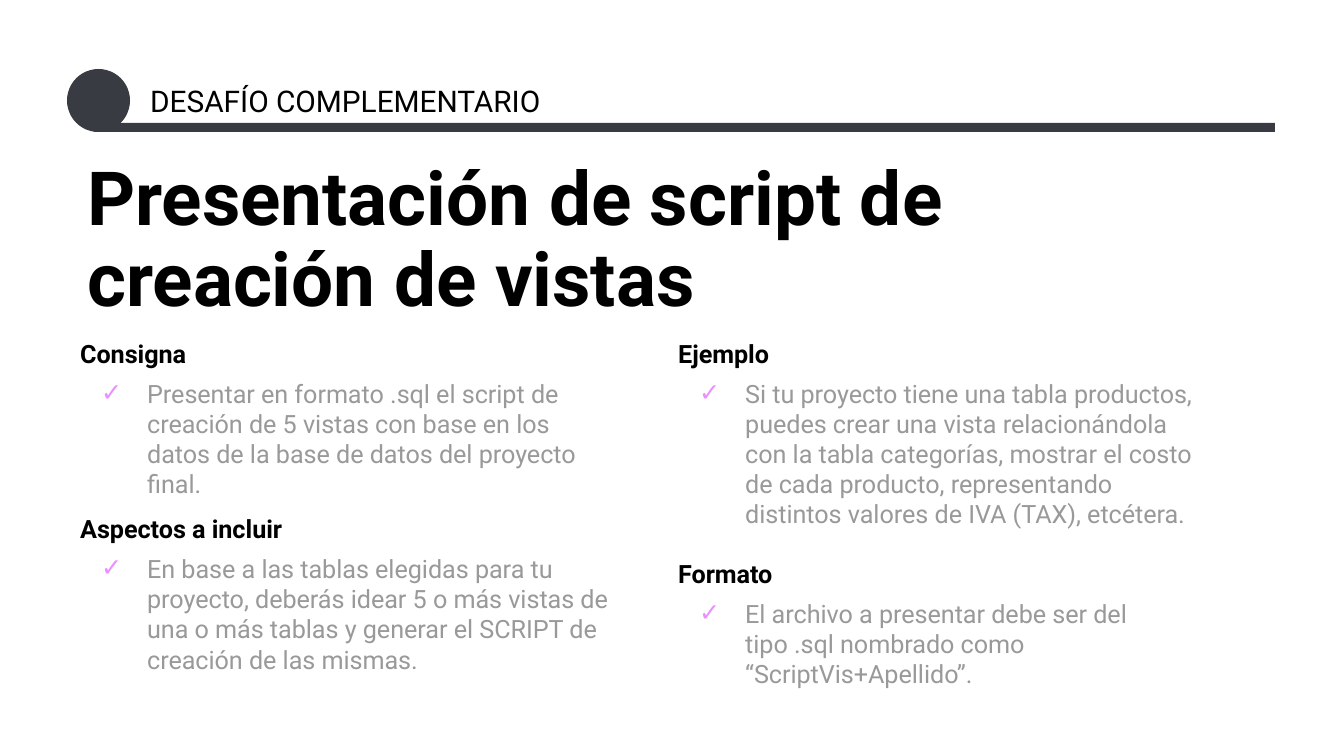
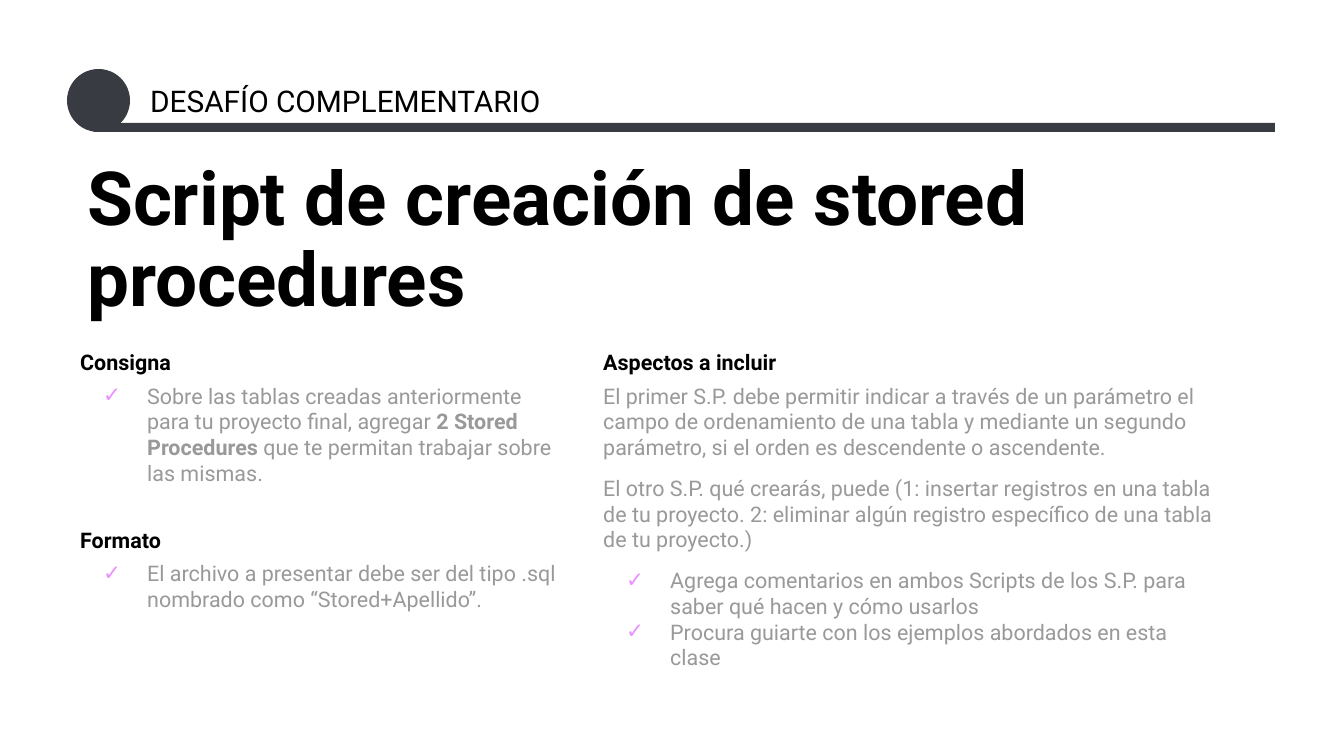
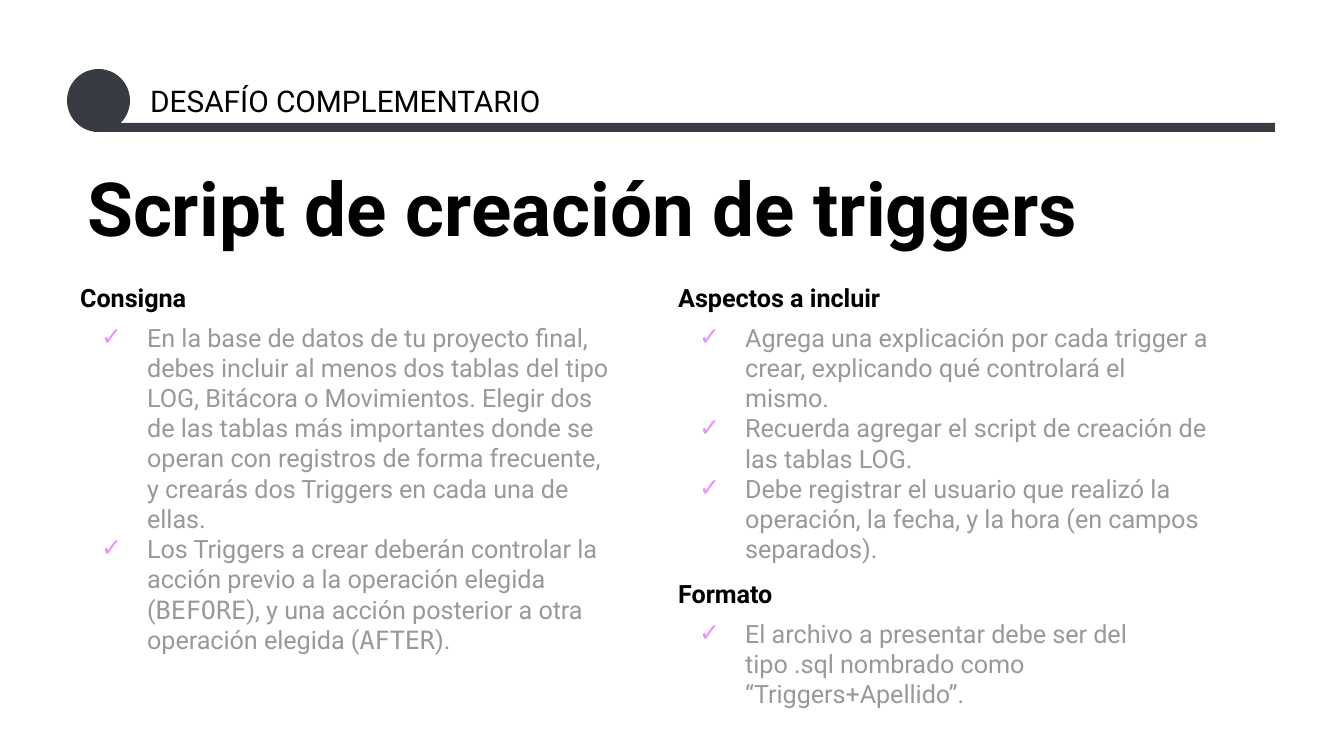
"""Build three slides that each describe a complementary SQL challenge."""
from lxml import etree
from pptx import Presentation
from pptx import util as u
from pptx.dml.color import RGBColor
from pptx.enum import shapes, text
from pptx.oxml.ns import qn

PX = 914400 / 134.4
FONT, MONO = "Roboto", "DejaVu Sans Mono"
DARK, BLACK, GRAY, PINK, WHITE = "393B43", "000000", "999999", "EA90FF", "FFFFFF"
LABEL = "DESAFÍO COMPLEMENTARIO"
BOLD, CODE = {"bold": True}, {"name": MONO}
STYLES = {
    "head": {"color": BLACK, "bold": True},
    "text": {"color": GRAY, "bold": False},
    "check": {"color": GRAY, "bold": False},
}

SLIDES = [
    {"title": "Presentación de script de creación de vistas",
     "title_box": (74, 148, 1181, 190), "size": 13.5, "hang": 46,
     "columns": [
         ((665, 325, 563, 412), [
             ("head", 0, ["Ejemplo"]),
             ("check", 5, ["Si tu proyecto tiene una tabla productos, puedes crear una vista "
                           "relacionándola con la tabla categorías, mostrar el costo de cada "
                           "producto, representando distintos valores de IVA (TAX), etcétera."]),
             ("head", 16, ["Formato"]),
             ("check", 5, ["El archivo a presentar debe ser del tipo .sql nombrado como "
                           "“ScriptVis+Apellido”."]),
         ]),
         ((67, 325, 563, 366), [
             ("head", 0, ["Consigna"]),
             ("check", 5, ["Presentar en formato .sql el script de creación de 5 vistas con base "
                           "en los datos de la base de datos del proyecto final."]),
             ("head", 8, ["Aspectos a incluir"]),
             ("check", 5, ["En base a las tablas elegidas para tu proyecto, deberás idear 5 o más "
                           "vistas de una o más tablas y generar el SCRIPT de creación de las "
                           "mismas."]),
         ]),
     ]},
    {"title": "Script de creación de stored procedures",
     "title_box": (74, 148, 1201, 190), "size": 11.5, "hang": 44,
     "columns": [
         ((590, 336, 638, 378), [
             ("head", 0, ["Aspectos a incluir"]),
             ("text", 4, ["El primer S.P. debe permitir indicar a través de un parámetro el campo "
                          "de ordenamiento de una tabla y mediante un segundo parámetro, si el "
                          "orden es descendente o ascendente."]),
             ("text", 8, ["El otro S.P. qué crearás, puede (1: insertar registros en una tabla de "
                          "tu proyecto. 2: eliminar algún registro específico de una tabla de tu "
                          "proyecto.)"]),
             ("check", 8, ["Agrega comentarios en ambos Scripts de los S.P. para saber qué hacen "
                           "y cómo usarlos"]),
             ("check", 0, ["Procura guiarte con los ejemplos abordados en esta clase"]),
         ]),
         ((67, 336, 505, 292), [
             ("head", 0, ["Consigna"]),
             ("check", 4, ["Sobre las tablas creadas anteriormente para tu proyecto final, agregar ",
                           ("2 Stored Procedures ", BOLD),
                           "que te permitan trabajar sobre las mismas."]),
             ("head", 22, ["Formato"]),
             ("check", 4, ["El archivo a presentar debe ser del tipo .sql nombrado como "
                           "“Stored+Apellido”."]),
         ]),
     ]},
    {"title": "Script de creación de triggers",
     "title_box": (74, 159, 1201, 190), "size": 13.5, "hang": 46,
     "columns": [
         ((665, 269, 563, 457), [
             ("head", 0, ["Aspectos a incluir"]),
             ("check", 5, ["Agrega una explicación por cada trigger a crear, explicando qué "
                           "controlará el mismo."]),
             ("check", 0, ["Recuerda agregar el script de creación de las tablas LOG."]),
             ("check", 0, ["Debe registrar el usuario que realizó la operación, la fecha, y la "
                           "hora (en campos separados)."]),
             ("head", 8, ["Formato"]),
             ("check", 5, ["El archivo a presentar debe ser del tipo .sql nombrado como "
                           "“Triggers+Apellido”."]),
         ]),
         ((67, 269, 563, 403), [
             ("head", 0, ["Consigna"]),
             ("check", 5, ["En la base de datos de tu proyecto final, debes incluir al menos dos "
                           "tablas del tipo LOG, Bitácora o Movimientos. Elegir dos de las tablas "
                           "más importantes donde se operan con registros de forma frecuente, y "
                           "crearás dos Triggers en cada una de ellas."]),
             ("check", 0, ["Los Triggers a crear deberán controlar la acción previo a la "
                           "operación elegida (", ("BEFORE", CODE),
                           "), y una acción posterior a otra operación elegida (",
                           ("AFTER", CODE), ")."]),
         ]),
     ]},
]


def emu(px):
    return u.Emu(round(px * PX))


def rgb(color):
    return RGBColor.from_string(color)


def add_solid(s, kind, box):
    sp = s.shapes.add_shape(kind, *map(emu, box))
    sp.shadow.inherit = False
    sp.fill.solid()
    sp.fill.fore_color.rgb = rgb(DARK)
    sp.line.fill.background()


def add_run(p, words, size, color, **style):
    r = p.add_run()
    r.text = words
    r.font.color.rgb = rgb(color)
    for key, value in {"name": FONT, "size": u.Pt(size), **style}.items():
        setattr(r.font, key, value)


def add_check(p, hang):
    pPr = p._p.get_or_add_pPr()
    pPr.set("marL", str(emu(67)))
    pPr.set("indent", str(-emu(hang)))
    color = etree.SubElement(pPr, qn("a:buClr"))
    etree.SubElement(color, qn("a:srgbClr"), val=PINK)
    etree.SubElement(pPr, qn("a:buFont"), typeface=FONT)
    etree.SubElement(pPr, qn("a:buChar"), char="✓")


def add_text(s, box, paragraphs, size, hang=0, leading=None):
    tf = s.shapes.add_textbox(*map(emu, box)).text_frame
    tf.word_wrap = True
    tf.auto_size = text.MSO_AUTO_SIZE.SHAPE_TO_FIT_TEXT
    for side in ("left", "top", "right", "bottom"):
        setattr(tf, f"margin_{side}", u.Inches(0.1))
    for i, (kind, before, runs) in enumerate(paragraphs):
        p = tf.add_paragraph() if i else tf.paragraphs[0]
        if kind == "check":
            add_check(p, hang)
        if before:
            p.space_before = u.Pt(before)
        if leading:
            p.line_spacing = leading
        for run in runs:
            words, extra = (run, {}) if isinstance(run, str) else run
            add_run(p, words, size, **{**STYLES[kind], **extra})


def add_label(s):
    box = s.shapes.add_textbox(*map(emu, (137, 69, 423, 63)))
    tf = box.text_frame
    tf.word_wrap = True
    for side in ("left", "top", "right", "bottom"):
        setattr(tf, f"margin_{side}", u.Inches(0.1))
    add_run(tf.paragraphs[0], LABEL, 16, BLACK)


def add_challenge(prs, challenge):
    s = prs.slides.add_slide(prs.slide_layouts[6])
    s.background.fill.solid()
    s.background.fill.fore_color.rgb = rgb(WHITE)
    add_solid(s, shapes.MSO_SHAPE.OVAL, (67, 69, 63, 63))
    add_text(s, challenge["title_box"], [("head", 0, [challenge["title"]])], 40, leading=0.9)
    add_label(s)
    for box, paragraphs in challenge["columns"]:
        add_text(s, box, paragraphs, challenge["size"], challenge["hang"])
    add_solid(s, shapes.MSO_SHAPE.RECTANGLE, (94, 123, 1181, 9))


def main():
    prs = Presentation()
    prs.slide_width, prs.slide_height = emu(1344), emu(756)
    for challenge in SLIDES:
        add_challenge(prs, challenge)
    prs.save("out.pptx")


if __name__ == "__main__":
    main()
